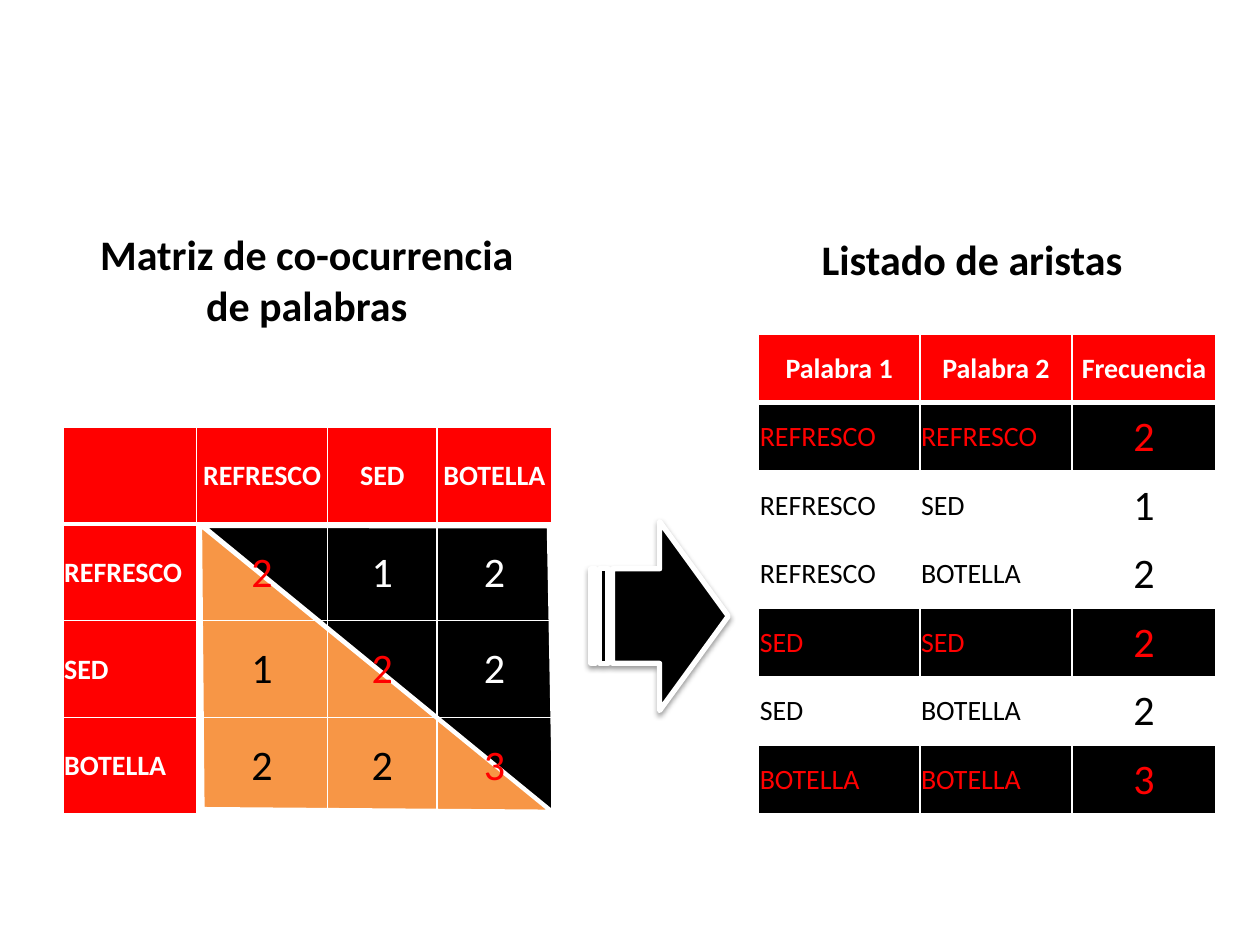
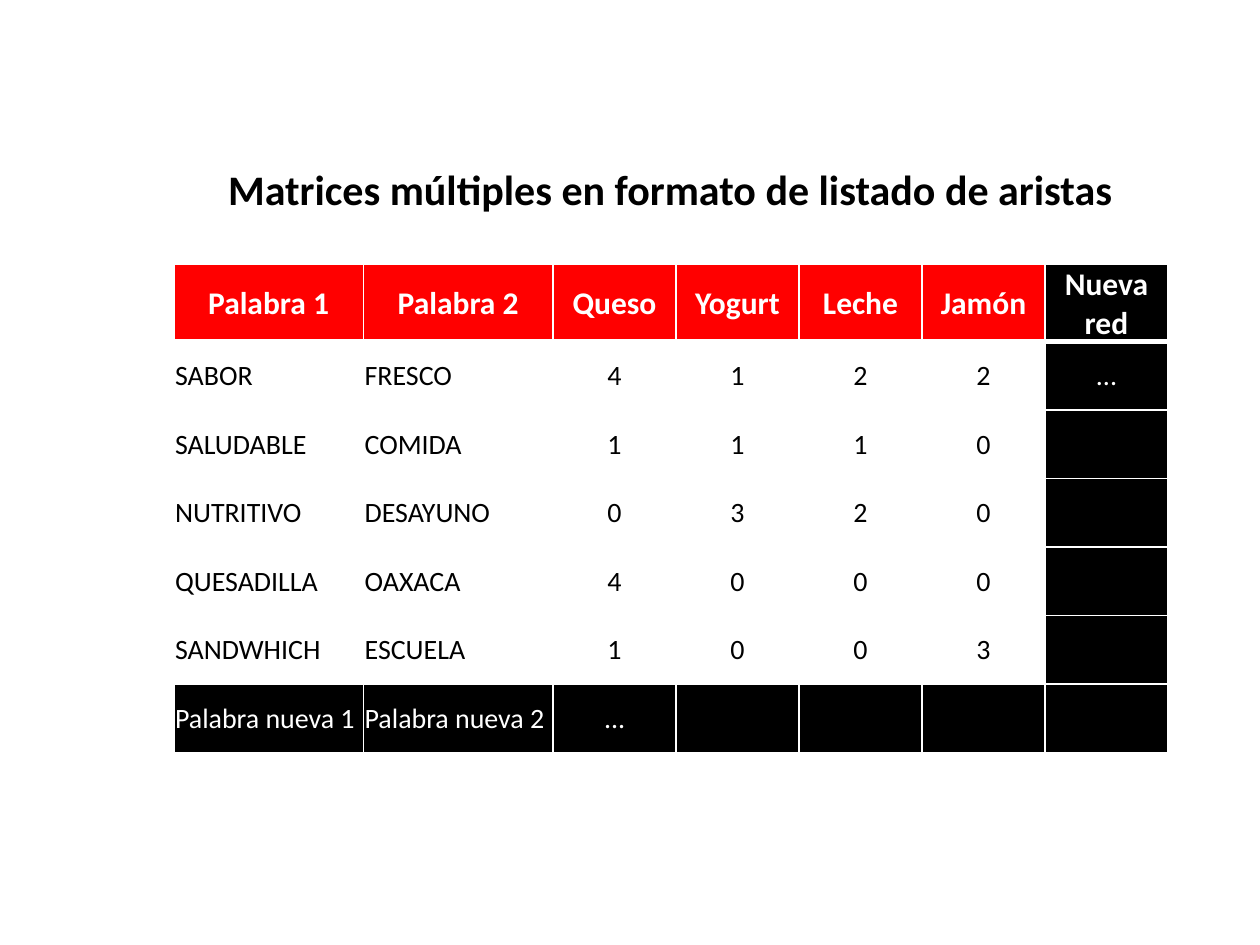
"""Build two slides that turn a word co-occurrence matrix into edge lists."""
from lxml.etree import SubElement
from pptx import Presentation
from pptx.dml.color import RGBColor
from pptx.enum.shapes import MSO_SHAPE
from pptx.enum.text import MSO_ANCHOR, PP_ALIGN
from pptx.oxml import parse_xml
from pptx.oxml.ns import nsdecls, qn
from pptx.util import Inches, Pt

RED, BLACK, WHITE, ORANGE = "FF0000", "000000", "FFFFFF", "F79646"
LEFT, CENTER = PP_ALIGN.LEFT, PP_ALIGN.CENTER
TITLE = {"name": "Calibri", "size": Pt(24), "bold": True}
HEADER = {**TITLE, "size": Pt(16)}
WIDE_HEADER = {**TITLE, "size": Pt(18)}
WORD = {**HEADER, "bold": False}
NUMBER = {**TITLE, "bold": False}
CELL_LAYOUT = {
    "vertical_anchor": MSO_ANCHOR.MIDDLE,
    "margin_left": Inches(0.01),
    "margin_right": Inches(0.01),
    "margin_top": Inches(0.01),
    "margin_bottom": 0,
}

deck = Presentation()
deck.slide_width, deck.slide_height = Inches(10), Inches(7.5)
column, row = deck.slide_width / 100, deck.slide_height / 75
blank = deck.slide_layouts[6]
matrix_slide = deck.slides.add_slide(blank)
networks_slide = deck.slides.add_slide(blank)


def write(frame, text, color, align, formats):
    paragraph = frame.paragraphs[0]
    paragraph.text = text
    paragraph.alignment = align
    for run in paragraph.runs:
        run.font.color.rgb = RGBColor.from_string(color)
        for attribute, value in formats.items():
            setattr(run.font, attribute, value)


def place_table(slide, left, top, widths, height, lines):
    grid = slide.shapes.add_table(
        len(lines), len(widths), int(left * column), int(top * row),
        int(sum(widths) * column), int(height * len(lines) * row)).table
    for table_column, width in zip(grid.columns, widths):
        table_column.width = int(width * column)
    for r, line in enumerate(lines):
        grid.rows[r].height = int(height * row)
        for c, (text, fill, color, align, formats) in enumerate(line):
            cell = grid.cell(r, c)
            for attribute, value in CELL_LAYOUT.items():
                setattr(cell, attribute, value)
            borders = {"lnL": 1, "lnR": 1, "lnT": 3 if r == 1 else 1, "lnB": 3 if r == 0 else 1}
            for side, points in borders.items():
                cell._tc.get_or_add_tcPr().append(parse_xml(
                    f'<a:{side} {nsdecls("a")} w="{Pt(points)}"><a:solidFill>'
                    f'<a:srgbClr val="{WHITE}"/></a:solidFill></a:{side}>'))
            if fill:
                cell.fill.solid()
                cell.fill.fore_color.rgb = RGBColor.from_string(fill)
            else:
                cell.fill.background()
            write(cell.text_frame, text, color, align, formats)


outlined_shapes = [
    (MSO_SHAPE.ISOSCELES_TRIANGLE, 6.4, 51.1, 35.9, 17.3, 219.2, [0.6], ORANGE, 2),
    (MSO_SHAPE.ISOSCELES_TRIANGLE, 17.6, 37.8, 35.9, 17.3, 39.3, [0.59], BLACK, 2),
    (MSO_SHAPE.STRIPED_RIGHT_ARROW, 46.9, 41.4, 10.9, 15, 0, [], BLACK, 3),
]
for kind, left, top, width, height, angle, adjustments, fill, outline in outlined_shapes:
    figure = matrix_slide.shapes.add_shape(
        kind, int(left * column), int(top * row), int(width * column), int(height * row))
    figure.rotation = angle
    for index, amount in enumerate(adjustments):
        figure.adjustments[index] = amount
    figure.shadow.inherit = False
    figure.fill.solid()
    figure.fill.fore_color.rgb = RGBColor.from_string(fill)
    figure.line.color.rgb = RGBColor.from_string(WHITE)
    figure.line.width = Pt(outline)

arrow_effects = figure._element.spPr.find(qn("a:effectLst"))
arrow_shadow = SubElement(arrow_effects, qn("a:outerShdw"), {
    "blurRad": str(Pt(3.1)), "dist": str(Pt(1.6)), "dir": "5400000", "rotWithShape": "0"})
shadow_color = SubElement(arrow_shadow, qn("a:srgbClr"), val=BLACK)
SubElement(shadow_color, qn("a:alpha"), val="38000")

titles = [
    (matrix_slide, "Matriz de co-ocurrencia\vde palabras", 5, 17.8, 38.7, 8.7),
    (matrix_slide, "Listado de aristas", 57.8, 17.8, 38.7, 5.4),
    (networks_slide, "Matrices múltiples en formato de listado de aristas", 16.5, 12.3, 73.4, 5.4),
]
for slide, text, left, top, width, height in titles:
    title = slide.shapes.add_textbox(
        int(left * column), int(top * row), int(width * column), int(height * row))
    title.text_frame.word_wrap = True
    title.text_frame.vertical_anchor = MSO_ANCHOR.MIDDLE
    write(title.text_frame, text, BLACK, CENTER, TITLE)

words = ["REFRESCO", "SED", "BOTELLA"]
counts = [[2, 1, 2], [1, 2, 2], [2, 2, 3]]
matrix = [[(text, RED, WHITE, CENTER, HEADER) for text in ["", *words]]]
edges = [[(text, RED, WHITE, CENTER, HEADER) for text in ["Palabra 1", "Palabra 2", "Frecuencia"]]]
for i, word in enumerate(words):
    matrix_line = [(word, RED, WHITE, LEFT, HEADER)]
    for j, count in enumerate(counts[i]):
        color = RED if i == j else WHITE if i < j else BLACK
        matrix_line.append((str(count), None, color, CENTER, NUMBER))
        if i <= j:
            fill, color = (BLACK, RED) if i == j else (None, BLACK)
            edges.append([
                (word, fill, color, LEFT, WORD),
                (words[j], fill, color, LEFT, WORD),
                (str(count), fill, color, CENTER, NUMBER),
            ])
    matrix.append(matrix_line)
place_table(matrix_slide, 60.2, 26.5, [12.8, 12.1, 11.4], 5.44, edges)
place_table(matrix_slide, 5, 33.9, [10.6, 10.4, 8.7, 9.1], 7.68, matrix)

network_rows = [
    ["Palabra 1", "Palabra 2", "Queso", "Yogurt", "Leche", "Jamón", "Nueva red"],
    ["SABOR", "FRESCO", "4", "1", "2", "2", "..."],
    ["SALUDABLE", "COMIDA", "1", "1", "1", "0", ""],
    ["NUTRITIVO", "DESAYUNO", "0", "3", "2", "0", ""],
    ["QUESADILLA", "OAXACA", "4", "0", "0", "0", ""],
    ["SANDWHICH", "ESCUELA", "1", "0", "0", "3", ""],
    ["Palabra nueva 1", "Palabra nueva 2", "...", "", "", "", ""],
]
networks = []
for r, texts in enumerate(network_rows):
    network_line = []
    for c, text in enumerate(texts):
        is_new = r == len(network_rows) - 1 or c == len(texts) - 1
        fill = BLACK if is_new else RED if r == 0 else None
        color = WHITE if fill else BLACK
        align = LEFT if r and c < 2 else CENTER
        network_line.append((text, fill, color, align, WORD if r else WIDE_HEADER))
    networks.append(network_line)
place_table(networks_slide, 13.8, 21, [15.05] * 2 + [9.76] * 5, 5.44, networks)

deck.save("out.pptx")
